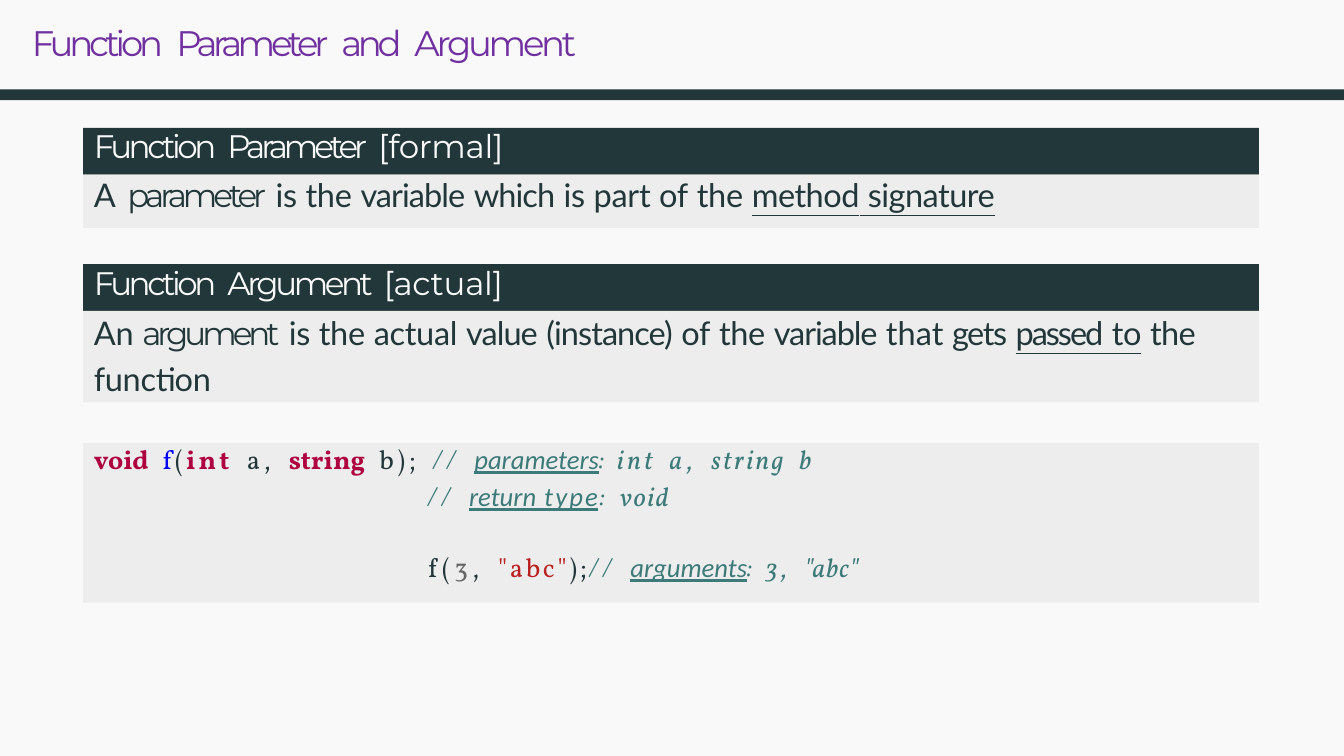
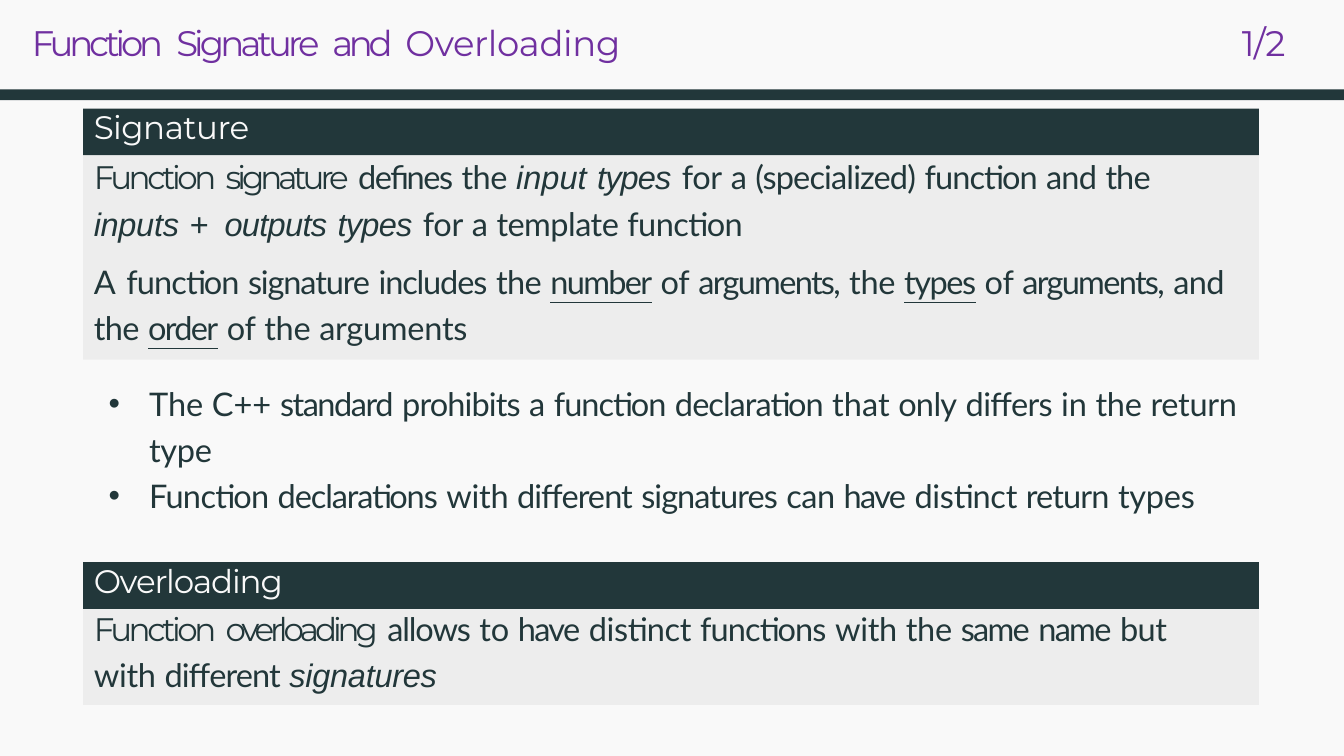
from dataclasses import dataclass
from itertools import groupby

from lxml import etree
from pptx import Presentation
from pptx.dml.color import RGBColor
from pptx.enum.shapes import MSO_SHAPE
from pptx.enum.text import MSO_ANCHOR, MSO_AUTO_SIZE, PP_ALIGN
from pptx.oxml.ns import qn
from pptx.util import Inches, Pt

RECT = MSO_SHAPE.RECTANGLE
TOP = MSO_ANCHOR.TOP
FIXED = MSO_AUTO_SIZE.NONE
LEFT = PP_ALIGN.LEFT


# Theme: colours, sizes and text styles
@dataclass(frozen=True)
class Theme:
    page: str = "F9F9F9"
    dark: str = "22373A"
    panel: str = "EDEDED"
    title: str = "7030A0"
    key: str = "AF003F"
    call: str = "0000FF"
    note: str = "3D7A7A"
    digit: str = "666666"
    quote: str = "BA2121"
    head_size: float = 12
    text_size: float = 11
    code_size: float = 9


T = Theme()


def style(name, size, color, **more):
    return {"name": name, "size": Pt(size), "color": color, **more}


def code(color, name="Vollkorn", **more):
    return style(name, T.code_size, color, **more)


STYLES = {
    "title": style("Montserrat", T.head_size, T.title),
    "head": style("Montserrat", T.text_size, T.page),
    "term": style("Montserrat", T.text_size, T.dark),
    "body": style("Lato", T.text_size, T.dark),
    "line": style("Lato", T.text_size, T.dark, underline=True),
    "slant": style("Arial", T.text_size, T.dark, italic=True),
    "code": code(T.dark),
    "key": code(T.key, bold=True),
    "call": code(T.call),
    "digit": code(T.digit),
    "quote": code(T.quote),
    "note": code(T.note, italic=True),
    "link": code(T.note, "Calibri", italic=True, underline=True),
}
# Least letter spacing of the blanks between words, in points
GAPS = {"title": 1.2, "head": 0.8, "term": 0.2, "slant": 0.4,
        "code": 3, "key": 3, "note": 3}

WIDE, HIGH = 6.31, 3.55
BOX_X, BOX_W, HEAD_H = 0.39, 5.52, 0.22
PAD = 0.05


# Text helpers
def add_run(para, text, kind, space=0):
    for blank, group in groupby(text, str.isspace):
        run = para.add_run()
        run.text = "".join(group)
        for key, val in STYLES[kind].items():
            if key == "color":
                run.font.color.rgb = RGBColor.from_string(val)
            else:
                setattr(run.font, key, val)
        wide = max(space, GAPS.get(kind, 0)) if blank else space
        run._r.get_or_add_rPr().set("spc", str(round(wide * 100)))


def set_para(para, runs, before=0, lead=1.0, left=0, hang=0, tab=None):
    form = {"alignment": LEFT, "space_before": Pt(before),
            "space_after": Pt(0), "line_spacing": lead}
    for key, val in form.items():
        setattr(para, key, val)
    props = para._p.get_or_add_pPr()
    props.set("marL", str(Inches(left)))
    if hang:
        props.set("indent", str(Inches(hang)))
    if tab:
        tabs = etree.SubElement(props, qn("a:tabLst"))
        etree.SubElement(tabs, qn("a:tab"), pos=str(Inches(tab)), algn="l")
    for item in runs:
        add_run(para, *item)


def fill_text(shape, paras, top=0):
    frame = shape.text_frame
    form = {"word_wrap": True, "auto_size": FIXED, "vertical_anchor": TOP,
            "margin_left": 0, "margin_right": 0,
            "margin_top": Inches(top), "margin_bottom": 0}
    for key, val in form.items():
        setattr(frame, key, val)
    for num, spec in enumerate(paras):
        para = frame.add_paragraph() if num else frame.paragraphs[0]
        set_para(para, **spec)


def place(shape, x, y, w, h):
    spots = {"left": x, "top": y, "width": w, "height": h}
    for key, val in spots.items():
        setattr(shape, key, Inches(val))


# Slide elements
def add_rect(slide, x, y, w, h, color):
    shape = slide.shapes.add_shape(
        RECT, Inches(x), Inches(y), Inches(w), Inches(h))
    shape.shadow.inherit = False
    shape.fill.solid()
    shape.fill.fore_color.rgb = RGBColor.from_string(color)
    shape.line.fill.background()
    return shape


def add_panel(slide, y, h, paras, top=0):
    panel = add_rect(slide, BOX_X, y, BOX_W, h, T.panel)
    fill_text(panel, [{"left": PAD, **spec} for spec in paras], top)


def add_block(slide, y, h, head, paras, top=0):
    bar = add_rect(slide, BOX_X, y, BOX_W, HEAD_H, T.dark)
    runs = [(text, "head", space) for text, space in head]
    fill_text(bar, [{"runs": runs, "lead": Pt(12.7), "left": PAD}])
    add_panel(slide, y + HEAD_H, h, paras, top)


def add_slide(deck, layout, words, tab=None):
    slide = deck.slides.add_slide(deck.slide_layouts[layout])
    place(slide.shapes.title, 0.14, 0.09, 5.97, 0.22)
    runs = [(text, "title", space) for text, space in words]
    fill_text(slide.shapes.title,
              [{"runs": runs, "before": 0.9, "left": 0.01, "tab": tab}], 0.01)
    return slide


def set_master(deck, slide):
    """Give the master its page colour and the band below the title."""
    master = deck.slide_master
    master.background.fill.solid()
    master.background.fill.fore_color.rgb = RGBColor.from_string(T.page)
    band = add_rect(slide, 0, 0.42, WIDE, 0.05, T.dark)
    band.element.xpath(".//p:cNvPr")[0].set("id", "90")
    master.shapes.element.append(band.element)


# Slide 1: parameter and argument
def fill_first(slide):
    add_block(slide, 0.6, 0.25, [
        ("Function ", -1.2), ("Parameter ", -1.4), ("[formal]", -0.1),
    ], [{"before": 0.2, "runs": [
        ("A ", "body", 0.7), ("parameter ", "term", -1.4),
        ("is the ", "body", -0.1), ("variable which ", "body", -0.35),
        ("is part of the ", "body", -0.1),
        ("method signature", "line", -0.2),
    ]}])
    add_block(slide, 1.24, 0.43, [
        ("Function Argument ", -1.2), ("[actual]", -0.1),
    ], [{"before": 0.8, "runs": [
        ("An ", "body"), ("argument ", "term", -1.4),
        ("is the actual ", "body", -0.1), ("value (instance) ", "body", -0.35),
        ("of the ", "body", -0.1), ("variable ", "body", -0.4),
        ("that ", "body"), ("gets ", "body", -0.5),
        ("passed", "line", -0.7), (" to", "line", -0.1),
        (" the", "body", -0.2),
    ]}, {"before": 2.4, "runs": [("function", "body", -0.1)]}], 0.01)
    add_panel(slide, 2.08, 0.75, [
        {"before": 2.8, "runs": [
            ("void ", "key"), ("f", "call", 1.1), ("(", "code", 1.1),
            ("int ", "key", 1.1), ("a, ", "code", 1.3), ("string ", "key"),
            ("b); ", "code", 1.2), ("// ", "note", 2),
            ("parameters", "link"), (": ", "note"), ("int ", "note", 1.1),
            ("a, ", "note", 1.6), ("string ", "note", 0.8), ("b", "note"),
        ]},
        {"before": 1.8, "left": PAD + 1.57, "runs": [
            ("// ", "note", 2), ("return", "link"), (" type", "link", 0.7),
            (": void", "note", 0.6),
        ]},
        {"before": 13, "left": PAD + 1.57, "runs": [
            ("f(", "code", 1.5), ("3", "digit", 1.5), (", ", "code", 1.5),
            ('"abc"', "quote", 0.9), (");", "code", 0.9), ("// ", "note", 2),
            ("arguments", "link"), (": ", "note"), ("3, ", "note", 1.3),
            ('"abc"', "note", 0.4),
        ]},
    ])


# Slide 2: signature and overloading
def fill_second(slide):
    add_block(slide, 0.51, 0.96, [("Signature", -0.2)], [
        {"before": 0.8, "runs": [
            ("Function ", "term", -1.2), ("signature ", "term", -1.4),
            ("defines ", "body", -0.5), ("the ", "body", -0.2),
            ("input ", "slant"), ("types ", "slant", -0.3),
            ("for a ", "body", -0.1),
            ("(specialized) function and the", "body", -0.3),
        ]},
        {"before": 2.4, "runs": [
            ("inputs ", "slant", -0.1), ("+ ", "slant", 1.2),
            ("outputs types ", "slant", -0.25), ("for a ", "body", -0.1),
            ("template function", "body", -0.2),
        ]},
        {"before": 4, "lead": 1.18, "runs": [
            ("A", "body", 0.7), (" function ", "body", -0.3),
            ("signature includes ", "body", -0.4), ("the ", "body", -0.2),
            ("number", "line", -0.6), (" of ", "body", -0.1),
            ("arguments, ", "body", -0.6), ("the ", "body", -0.1),
            ("types", "line", -0.5), (" of ", "body", -0.1),
            ("arguments,", "body", -0.6), (" and the ", "body", -0.2),
            ("order", "line", -0.6), (" of the arguments", "body", -0.1),
        ]},
    ], 0.01)

    notes = slide.placeholders[1]
    place(notes, 0.49, 1.76, 5.37, 0.68)
    item = {"left": 0.21, "hang": -0.19}
    fill_text(notes, [
        {**item, "before": 1, "lead": 1.18, "runs": [
            ("The C++ ", "body"), ("standard ", "body", -0.5),
            ("prohibits ", "body", -0.3), ("a ", "body"),
            ("function declaration ", "body", -0.35), ("that", "body"),
            (" only differs ", "body", -0.25), ("in ", "body"),
            ("the return type", "body", -0.1),
        ]},
        {**item, "before": 2.4, "runs": [
            ("Function ", "body", -0.25), ("declarations ", "body", -0.4),
            ("with", "body", -0.1), (" different signatures ", "body", -0.35),
            ("can ", "body", -0.2), ("have ", "body", -0.6),
            ("distinct", "body", -0.1), (" return ", "body", -0.3),
            ("types", "body", -0.1),
        ]},
    ], 0.01)

    add_block(slide, 2.64, 0.45, [("Overloading", -0.4)], [
        {"runs": [
            ("Function ", "term", -1.2), ("overloading ", "term", -1.4),
            ("allows ", "body", -0.4), ("to ", "body"),
            ("have", "body", -0.6), (" distinct ", "body", -0.1),
            ("functions ", "body", -0.3), ("with the ", "body", -0.1),
            ("same name ", "body", -0.6), ("but", "body", -0.2),
        ]},
        {"before": 2.4, "runs": [
            ("with ", "body", -0.1), ("different ", "body", -0.3),
            ("signatures", "slant", -0.1),
        ]},
    ])


def main():
    deck = Presentation()
    deck.slide_width, deck.slide_height = Inches(WIDE), Inches(HIGH)
    first = add_slide(deck, 5, [
        ("Function ", -1.4), ("Parameter and ", -1.5), ("Argument", -1.1)])
    set_master(deck, first)
    fill_first(first)
    second = add_slide(deck, 1, [
        ("Function ", -1.4), ("Signature ", -1.3), ("and ", -1.5),
        ("Overloading\t", -0.1), ("1/2", -0.2)], tab=5.68)
    fill_second(second)
    deck.save("out.pptx")


if __name__ == "__main__":
    main()
